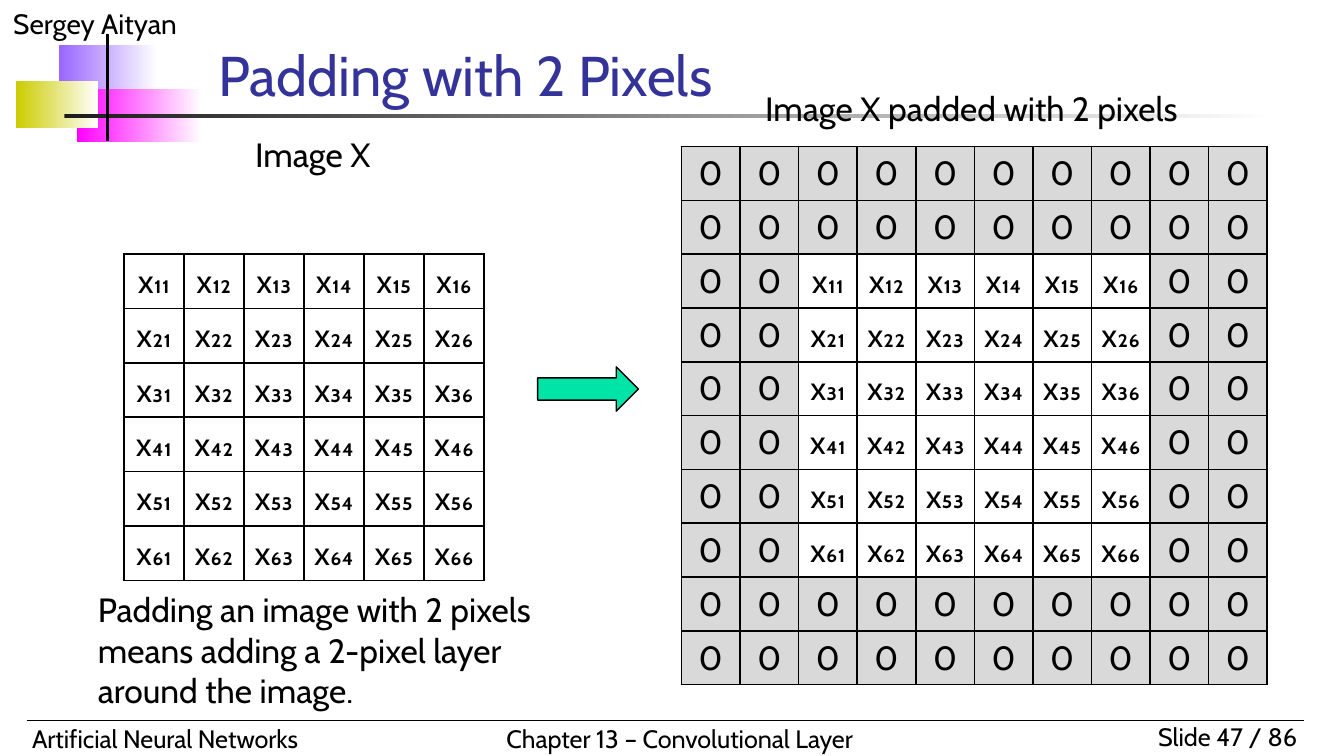
from lxml.etree import SubElement
from pptx import Presentation
from pptx.dml.color import RGBColor
from pptx.enum.shapes import MSO_CONNECTOR as Connector, MSO_SHAPE as Shape
from pptx.enum.text import MSO_ANCHOR as Anchor, MSO_AUTO_SIZE as AutoSize, PP_ALIGN as Align
from pptx.oxml.ns import qn
from pptx.util import Inches, Pt

COLUMNS, ROWS = 100, 56.25
UNIT = Inches(0.1)
FONT = "Cabin"
BODY_SIZE, FOOTER_SIZE = 18, 13.5
PIXELS, PADDING = 6, 2
SUBSCRIPTS = "₀₁₂₃₄₅₆"

BLACK = RGBColor(0x00, 0x00, 0x00)
WHITE = RGBColor(0xFF, 0xFF, 0xFF)
INDIGO = RGBColor(0x33, 0x33, 0x99)
VIOLET = RGBColor(0x99, 0x66, 0xFF)
MAGENTA = RGBColor(0xFF, 0x00, 0xFF)
OLIVE = RGBColor(0xCC, 0xCC, 0x00)
CHARCOAL = RGBColor(0x1C, 0x1C, 0x1C)
GRAY = RGBColor(0xD9, 0xD9, 0xD9)
GREEN = RGBColor(0x00, 0xE4, 0xA8)


def grid(*units):
    return [round(unit * UNIT) for unit in units]


def style_para(para, size, color=BLACK, align=Align.LEFT):
    para.alignment = align
    para.font.name = FONT
    para.font.size = Pt(size)
    para.font.color.rgb = color


def add_fading_block(page, area, color):
    block = page.shapes.add_shape(Shape.RECTANGLE, *grid(*area))
    block.shadow.inherit = False
    block.line.fill.background()
    block.fill.gradient()
    block.fill.gradient_angle = 0
    for stop, shade in zip(block.fill.gradient_stops, (color, WHITE)):
        stop.color.rgb = shade


def add_text(page, area, text, size=BODY_SIZE, color=BLACK, align=Align.LEFT,
             anchor=Anchor.TOP, wrap=True, fit=AutoSize.SHAPE_TO_FIT_TEXT):
    frame = page.shapes.add_textbox(*grid(*area)).text_frame
    frame.word_wrap = wrap
    frame.auto_size = fit
    frame.vertical_anchor = anchor
    frame.text = text
    style_para(frame.paragraphs[0], size, color, align)


def add_line(page, ends, width):
    line = page.shapes.add_connector(Connector.STRAIGHT, *grid(*ends))
    line.line.color.rgb = BLACK
    line.line.width = Pt(width)
    SubElement(line._element.spPr, qn("a:effectLst"))


def add_arrow(page, area):
    arrow = page.shapes.add_shape(Shape.RIGHT_ARROW, *grid(*area))
    arrow.shadow.inherit = False
    arrow.fill.solid()
    arrow.fill.fore_color.rgb = GREEN
    arrow.line.color.rgb = BLACK
    arrow.line.width = Pt(0.75)


def add_borders(cell):
    properties = cell._tc.get_or_add_tcPr()
    for side in ("a:lnL", "a:lnR", "a:lnT", "a:lnB"):
        border = SubElement(properties, qn(side), w=str(Pt(1)))
        fill = SubElement(border, qn("a:solidFill"))
        SubElement(fill, qn("a:srgbClr"), val=str(BLACK))


def fill_cell(cell, row, column):
    is_pixel = 1 <= row <= PIXELS and 1 <= column <= PIXELS
    add_borders(cell)
    if is_pixel:
        cell.fill.background()
        cell.margin_left = cell.margin_right = 0
        cell.text = f"x{SUBSCRIPTS[row]}{SUBSCRIPTS[column]}"
    else:
        cell.fill.solid()
        cell.fill.fore_color.rgb = GRAY
        cell.text = "0"
    style_para(cell.text_frame.paragraphs[0], BODY_SIZE, align=Align.CENTER)


def add_image_table(page, area, padding=0):
    count = PIXELS + 2 * padding
    table = page.shapes.add_table(count, count, *grid(*area)).table
    table.first_row = table.horz_banding = False
    for row in range(count):
        for column in range(count):
            fill_cell(table.cell(row, column), row + 1 - padding, column + 1 - padding)


def add_master_parts(page):
    for area, color in (
        ((4.4, 3.35, 7.3, 3.9), VIOLET),
        ((5.7, 6.65, 9.3, 3.9), MAGENTA),
        ((1.2, 6.05, 6.1, 3.5), OLIVE),
        ((4.8, 8.5, 90, 0.25), CHARCOAL),
    ):
        add_fading_block(page, area, color)
    add_text(page, (0, 0, 25, 3.5), "Sergey Aityan", 15)
    add_text(page, (82.5, 53.2, 15, 3.3), "Slide 47 / 86", FOOTER_SIZE, align=Align.RIGHT)
    add_text(page, (1.4, 53.35, 37, 3.3), "Artificial Neural Networks", FOOTER_SIZE)
    add_text(page, (36.7, 53.3, 29.9, 3.3), "Chapter 13 – Convolutional Layer",
             FOOTER_SIZE, wrap=False)
    add_line(page, (2, 53.6, 97, 53.6), 0.75)
    add_line(page, (8, 2.5, 8, 10.5), 2)


def main():
    deck = Presentation()
    deck.slide_width, deck.slide_height = grid(COLUMNS, ROWS)
    page = deck.slides.add_slide(deck.slide_layouts[6])
    add_master_parts(page)
    add_text(page, (15.25, 3.1, 73.5, 5.4), "Padding with 2 Pixels", 30, INDIGO,
             anchor=Anchor.BOTTOM, fit=AutoSize.NONE)
    add_image_table(page, (9.22, 18.9, 26.8, 24.3))
    add_text(page, (18, 9.5, 12.5, 4), "Image X")
    add_text(page, (55.95, 6.05, 38.3, 4), "Image X padded with 2 pixels")
    add_text(page, (6.3, 43.35, 35.9, 10.1),
             "Padding an image with 2 pixels means adding a 2-pixel layer around the image.")
    add_image_table(page, (50.7, 10.9, 43.6, 40), PADDING)
    add_arrow(page, (40, 27.3, 7.5, 3.3))
    deck.save("out.pptx")


if __name__ == "__main__":
    main()
